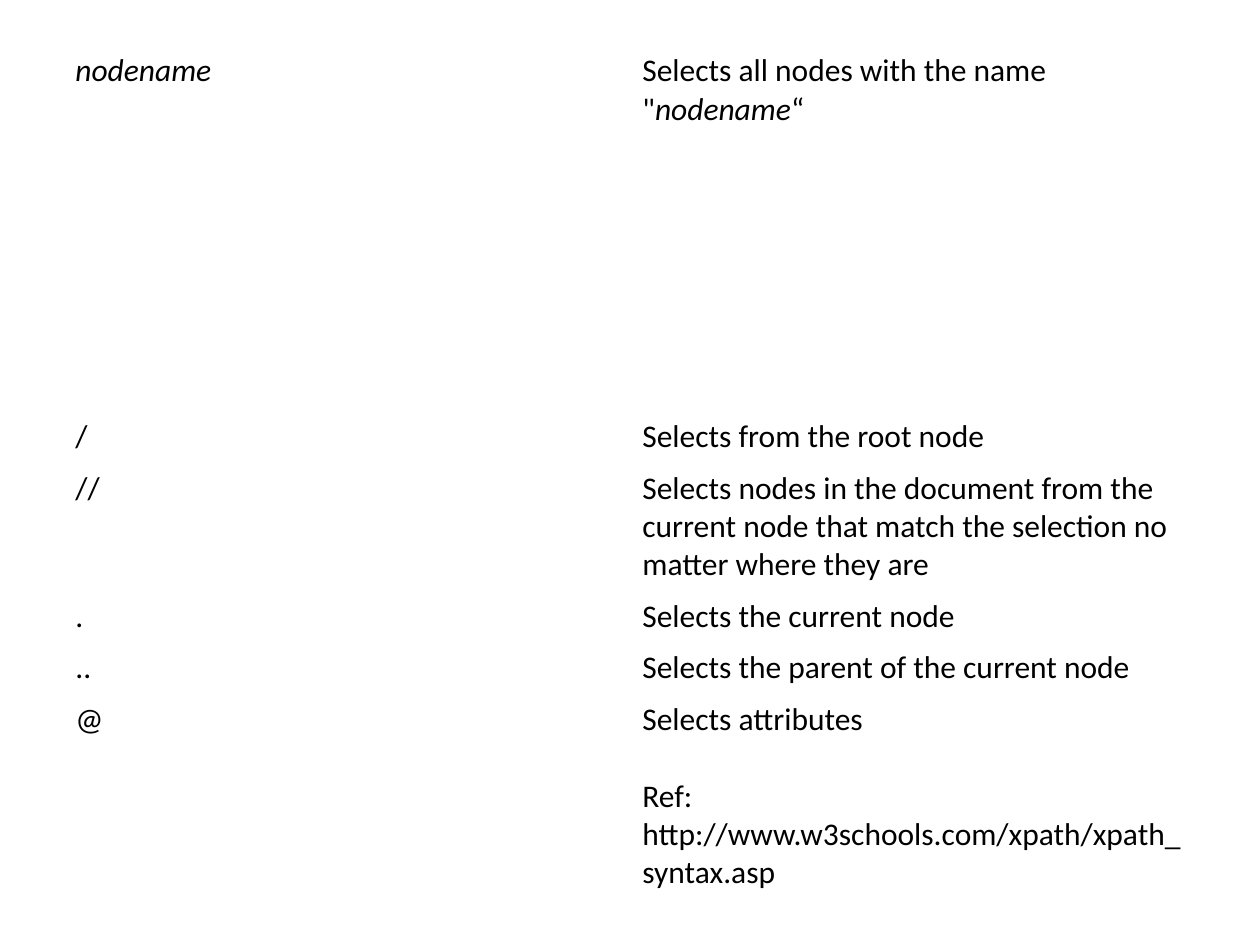
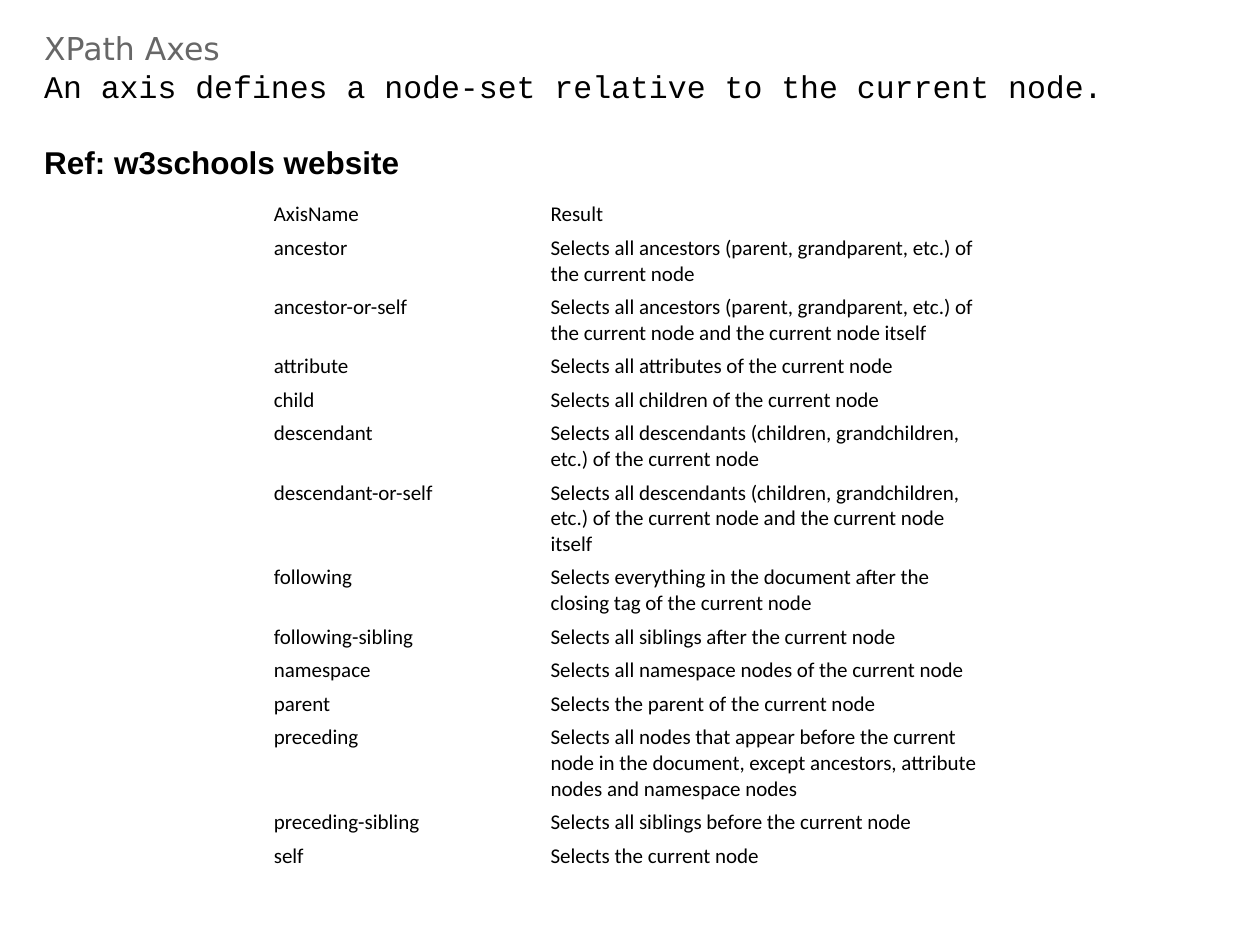
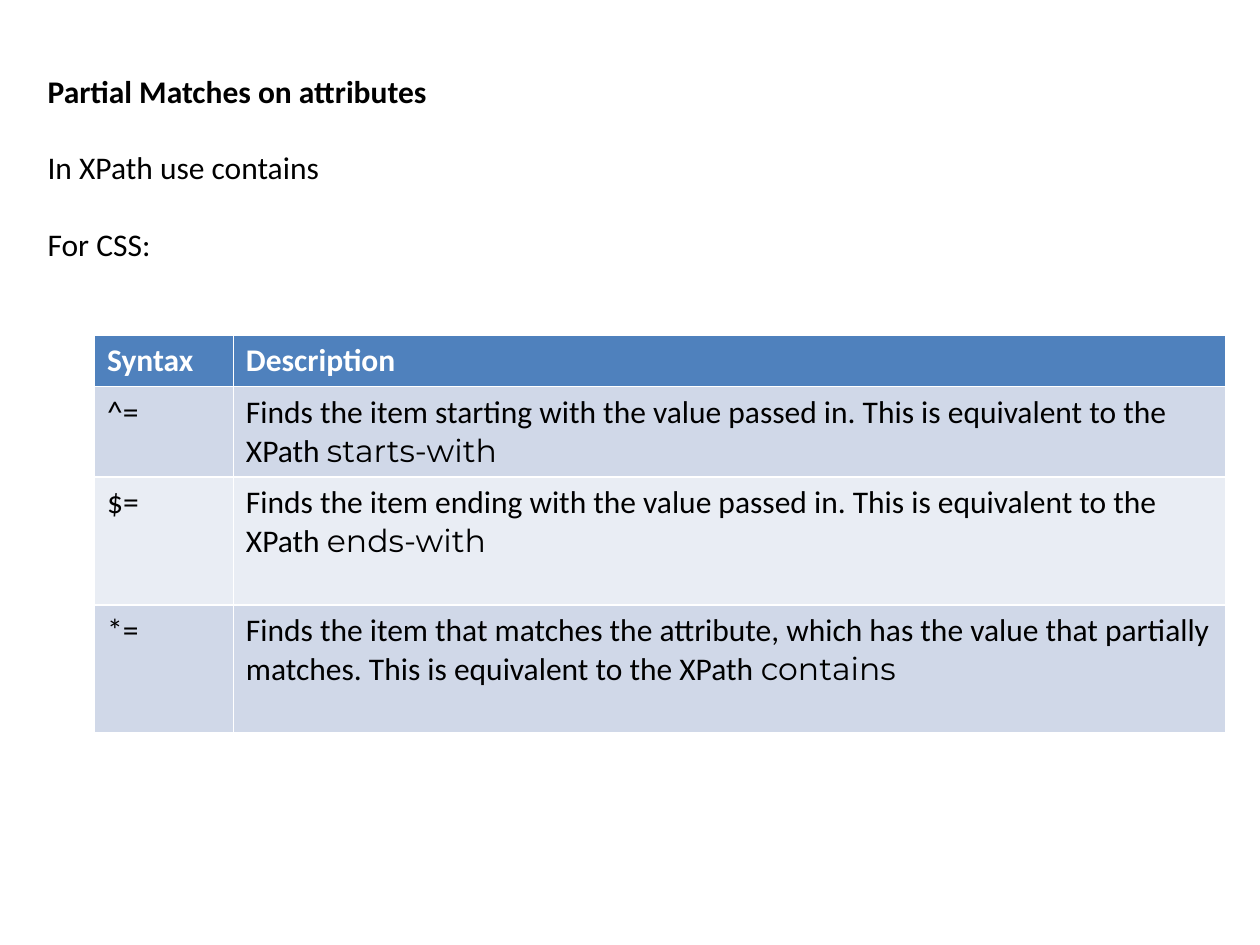
from dataclasses import dataclass

from pptx import Presentation
from pptx.dml.color import RGBColor
from pptx.enum.text import MSO_ANCHOR, MSO_AUTO_SIZE, PP_ALIGN
from pptx.util import Cm, Pt

BLACK = RGBColor(0x00, 0x00, 0x00)
WHITE = RGBColor(0xFF, 0xFF, 0xFF)
GREY = RGBColor(0x67, 0x67, 0x67)
HEADER_BLUE = RGBColor(0x4F, 0x81, 0xBD)
BANDS = (RGBColor(0xE9, 0xED, 0xF4), RGBColor(0xD0, 0xD8, 0xE8))

BODY_FONT = "Calibri"
CODE_FONT = "Montserrat"
BODY_SIZE = 18
LINE_CM_PER_POINT = 0.043
SECTION_GAP = Pt(22)
TITLE_ONLY, BLANK = 5, 6


@dataclass(frozen=True)
class Span:
    text: str
    font: str = BODY_FONT
    color: RGBColor = BLACK
    bold: bool = False
    italic: bool = False


@dataclass(frozen=True)
class Line:
    spans: tuple[Span, ...]
    gap_before: bool = False


@dataclass(frozen=True)
class Row:
    """One key with its description; lines is the room it takes, in text lines."""
    key: Span
    description: tuple[Line, ...]
    lines: float = 1


@dataclass(frozen=True)
class Grid:
    left: float
    top: float
    widths: tuple[float, float]
    rows: list[Row]
    size: int = BODY_SIZE
    margins: tuple[float, float] = (0.25, 0.13)
    banded: bool = False


@dataclass(frozen=True)
class Heading:
    box: tuple[float, float, float, float]
    inset: tuple[float, float]
    anchor: MSO_ANCHOR
    lines: tuple[Line, ...]


def line(*spans: Span, gap_before: bool = False) -> Line:
    return Line(spans, gap_before)


def plain_row(key: str, description: str, lines: float = 1) -> Row:
    return Row(Span(key), (line(Span(description)),), lines)


def css_row(symbol: str, description: str, function: str, lines: int) -> Row:
    spans = (Span(description + " "), Span(function, CODE_FONT))
    return Row(Span(symbol), (line(*spans),), lines)


SYNTAX_GRID = Grid(1.27, 0.91, (11.43, 11.43), [
    Row(Span("nodename", italic=True),
        (line(Span('Selects all nodes with the name "'),
              Span("nodename", italic=True), Span("“")),), 9.2),
    plain_row("/", "Selects from the root node"),
    plain_row("//", "Selects nodes in the document from the current node that "
              "match the selection no matter where they are", 3),
    plain_row(".", "Selects the current node"),
    plain_row("..", "Selects the parent of the current node"),
    Row(Span("@"),
        (line(Span("Selects attributes")),
         line(Span("Ref: http://www.w3schools.com/xpath/xpath_syntax.asp"),
              gap_before=True)), 5),
])

AXES_HEADING = Heading((0.89, 0.58, 30.76, 3.07), (0, 0), MSO_ANCHOR.MIDDLE, (
    line(Span("XPath Axes", "DejaVu Sans", GREY)),
    line(Span("An axis defines a node-set relative to the current node.",
              "Courier New")),
    line(Span("Ref: w3schools website", "Arial", bold=True), gap_before=True),
))

AXES_GRID = Grid(5.36, 3.99, (5.58, 9.12), [
    plain_row("AxisName", "Result"),
    plain_row("ancestor", "Selects all ancestors (parent, grandparent, etc.) "
              "of the current node", 2),
    plain_row("ancestor-or-self", "Selects all ancestors (parent, grandparent, "
              "etc.) of the current node and the current node itself", 2),
    plain_row("attribute", "Selects all attributes of the current node"),
    plain_row("child", "Selects all children of the current node"),
    plain_row("descendant", "Selects all descendants (children, grandchildren, "
              "etc.) of the current node", 2),
    plain_row("descendant-or-self", "Selects all descendants (children, "
              "grandchildren, etc.) of the current node and the current node "
              "itself", 3),
    plain_row("following", "Selects everything in the document after the "
              "closing tag of the current node", 2),
    plain_row("following-sibling", "Selects all siblings after the current node"),
    plain_row("namespace", "Selects all namespace nodes of the current node"),
    plain_row("parent", "Selects the parent of the current node"),
    plain_row("preceding", "Selects all nodes that appear before the current "
              "node in the document, except ancestors, attribute nodes and "
              "namespace nodes", 3),
    plain_row("preceding-sibling", "Selects all siblings before the current node"),
    plain_row("self", "Selects the current node"),
], size=12, margins=(0.16, 0.08))

MATCHES_HEADING = Heading((0.71, 1.32, 23.8, 4.88), (0.25, 0.13), MSO_ANCHOR.TOP, (
    line(Span("Partial Matches on attributes", bold=True)),
    line(Span("In XPath use contains"), gap_before=True),
    line(Span("For CSS:"), gap_before=True),
))

MATCHES_GRID = Grid(1.91, 6.76, (2.8, 20), [
    Row(Span("Syntax", color=WHITE, bold=True),
        (line(Span("Description", color=WHITE, bold=True)),)),
    css_row("^=", "Finds the item starting with the value passed in. This is "
            "equivalent to the XPath", "starts-with", 2),
    css_row("$=", "Finds the item ending with the value passed in. This is "
            "equivalent to the XPath", "ends-with", 3),
    css_row("*=", "Finds the item that matches the attribute, which has the "
            "value that partially matches. This is equivalent to the XPath",
            "contains", 3),
], banded=True)


def write_lines(text_frame, lines: tuple[Line, ...], size: int) -> None:
    text_frame.text = "\n".join("" for _ in lines)
    for paragraph, content in zip(text_frame.paragraphs, lines):
        paragraph.alignment = PP_ALIGN.LEFT
        if content.gap_before:
            paragraph.space_before = SECTION_GAP
        for span in content.spans:
            run = paragraph.add_run()
            run.text = span.text
            run.font.name = span.font
            run.font.size = Pt(size)
            run.font.bold = span.bold
            run.font.italic = span.italic
            run.font.color.rgb = span.color


def set_margins(target, horizontal: float, vertical: float) -> None:
    target.margin_left = target.margin_right = Cm(horizontal)
    target.margin_top = target.margin_bottom = Cm(vertical)


def add_heading(slide, heading: Heading) -> None:
    title = slide.shapes.title
    title.left, title.top, title.width, title.height = map(Cm, heading.box)
    text_frame = title.text_frame
    text_frame.word_wrap = True
    text_frame.auto_size = MSO_AUTO_SIZE.NONE
    text_frame.vertical_anchor = heading.anchor
    set_margins(text_frame, *heading.inset)
    write_lines(text_frame, heading.lines, BODY_SIZE)


def fill_cell(cell, grid: Grid, row_index: int) -> None:
    if not grid.banded:
        cell.fill.background()
        return
    cell.fill.solid()
    cell.fill.fore_color.rgb = BANDS[row_index % 2] if row_index else HEADER_BLUE


def add_grid(slide, grid: Grid) -> None:
    horizontal, vertical = grid.margins
    heights = [Cm(row.lines * grid.size * LINE_CM_PER_POINT + 2 * vertical)
               for row in grid.rows]
    table = slide.shapes.add_table(
        len(grid.rows), len(grid.widths), Cm(grid.left), Cm(grid.top),
        Cm(sum(grid.widths)), sum(heights)).table
    table.first_row = table.horz_banding = grid.banded
    for column, width in zip(table.columns, grid.widths):
        column.width = Cm(width)
    for index, (row, height) in enumerate(zip(grid.rows, heights)):
        table.rows[index].height = height
        contents = ((line(row.key),), row.description)
        for cell, lines in zip(table.rows[index].cells, contents):
            set_margins(cell, horizontal, vertical)
            fill_cell(cell, grid, index)
            write_lines(cell.text_frame, lines, grid.size)


def main() -> None:
    presentation = Presentation()
    presentation.slide_width, presentation.slide_height = Cm(25.4), Cm(19.05)
    pages = ((None, SYNTAX_GRID), (AXES_HEADING, AXES_GRID),
             (MATCHES_HEADING, MATCHES_GRID))
    for heading, grid in pages:
        layout = presentation.slide_layouts[TITLE_ONLY if heading else BLANK]
        slide = presentation.slides.add_slide(layout)
        if heading:
            add_heading(slide, heading)
        add_grid(slide, grid)
    presentation.save("out.pptx")


if __name__ == "__main__":
    main()
